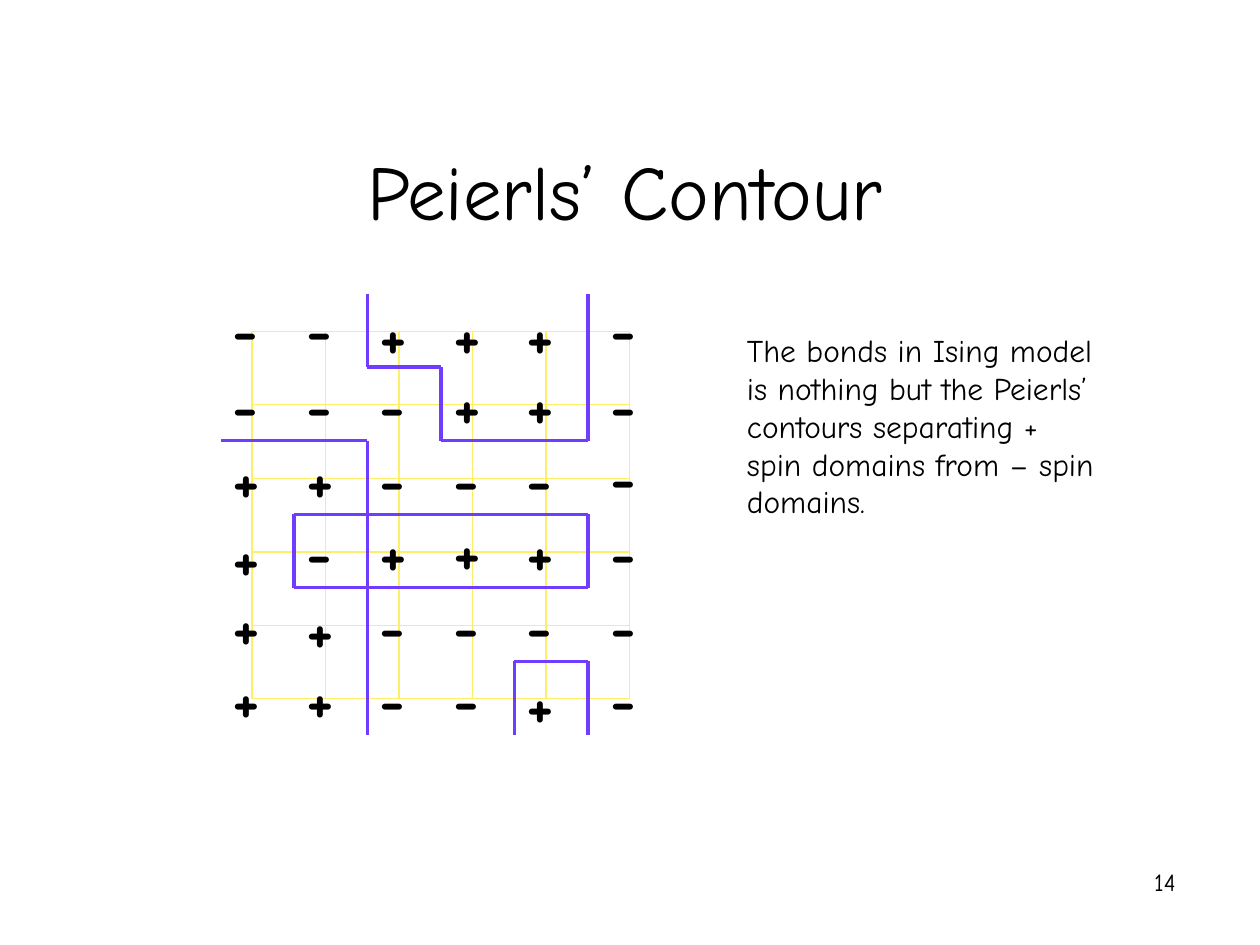
import pptx
import pptx.util
import pptx.dml.color
import pptx.enum.shapes
import pptx.enum.text
import pptx.oxml.ns
import lxml.etree

RGB = pptx.dml.color.RGBColor
BLACK = RGB(0x00, 0x00, 0x00)
YELLOW = RGB(0xFF, 0xEF, 0x66)
PURPLE = RGB(0x70, 0x3D, 0xFF)
FONT = "Comic Neue"
ALIGN = pptx.enum.text.PP_ALIGN
inch = pptx.util.Inches

deck = pptx.Presentation()
deck.slide_width, deck.slide_height = inch(10), inch(7.5)
slide = deck.slides.add_slide(deck.slide_layouts[5])


def line(x1, y1, x2, y2, color, width):
    rule = slide.shapes.add_connector(
        pptx.enum.shapes.MSO_CONNECTOR.STRAIGHT,
        inch(x1), inch(y1), inch(x2), inch(y2))
    rule.line.color.rgb = color
    rule.line.width = pptx.util.Pt(width)
    lxml.etree.SubElement(rule._element.spPr, pptx.oxml.ns.qn("a:effectLst"))


def write(box, place, text, size, align=ALIGN.LEFT, bold=False):
    box.left, box.top, box.width, box.height = map(inch, place)
    frame = box.text_frame
    frame.word_wrap = True
    frame.text = text
    part = frame.paragraphs[0]
    part.alignment = align
    font = part.runs[0].font
    font.name, font.size, font.bold = FONT, pptx.util.Pt(size), bold
    font.color.rgb = BLACK
    return frame


# Title
frame = write(slide.shapes.title, (0.75, 0.17, 8.42, 1.75),
              "Peierls’ Contour", 44, ALIGN.CENTER)
frame.vertical_anchor = pptx.enum.text.MSO_ANCHOR.BOTTOM
frame.auto_size = pptx.enum.text.MSO_AUTO_SIZE.NONE

# Grid: one cell is 7/12 inch, and the last column stands a little apart
STEP = 7 / 12
LEFT, TOP = 1.75, 2.33
GAP = 0.08
SIDE = 6

# Lattice
x0, y0 = LEFT + 0.25, TOP + 0.3
x1, y1 = x0 + 5 * STEP + GAP, y0 + 5 * STEP
for col in range(SIDE):
    x = x1 if col == SIDE - 1 else x0 + col * STEP
    line(x, y0, x, y1, YELLOW, 0.75)
for row in range(SIDE):
    y = y0 + row * STEP
    line(x0, y, x1, y, YELLOW, 0.75)

# Spins, with small shifts (row, column) off the even rows
SPINS = ["--+++-", "---++-", "++----", "+-+++-", "++----", "++--+-"]
SHIFT = {(0, 2): 0.03, (0, 3): 0.03, (0, 4): 0.03,
         (0, 0): -0.02, (0, 1): -0.02, (0, 5): -0.02,
         (2, 5): -0.01, (3, 0): 0.04, (3, 3): -0.01,
         (4, 1): 0.03, (5, 4): 0.04}
for row, signs in enumerate(SPINS):
    for col, sign in enumerate(signs):
        x = LEFT + col * STEP + (GAP if col == SIDE - 1 else 0)
        y = TOP - 0.06 + row * STEP + SHIFT.get((row, col), 0)
        box = slide.shapes.add_textbox(0, 0, 0, 0)
        write(box, (x, y, 0.42, 0.7), sign, 36, bold=True)

# Contours: corners as (column, row), drawn one bond at a time
PATHS = [
    [(2, 0), (2, 1), (3, 1), (3, 2), (5, 2), (5, 0)],
    [(0, 2), (2, 2), (2, 6)],
    [(1, 3), (5, 3), (5, 4), (1, 4), (1, 3)],
    [(4, 6), (4, 5), (5, 5), (5, 6)],
]
for path in PATHS:
    for (c1, r1), (c2, r2) in zip(path, path[1:]):
        count = abs(c2 - c1) + abs(r2 - r1)
        dx, dy = (c2 - c1) / count * STEP, (r2 - r1) / count * STEP
        for k in range(count):
            x = LEFT + c1 * STEP + k * dx
            y = TOP + r1 * STEP + k * dy
            line(x, y, x + dx, y + dy, PURPLE, 1.75)

# Remark
write(slide.shapes.add_textbox(0, 0, 0, 0), (5.83, 2.58, 3, 1.6),
      "The bonds in Ising model is nothing but the Peierls’ contours "
      "separating + spin domains from – spin domains.", 18)

# Page number
write(slide.shapes.add_textbox(0, 0, 0, 0), (7.35, 6.83, 2.08, 0.5),
      "14", 14, ALIGN.RIGHT)

deck.save("out.pptx")
